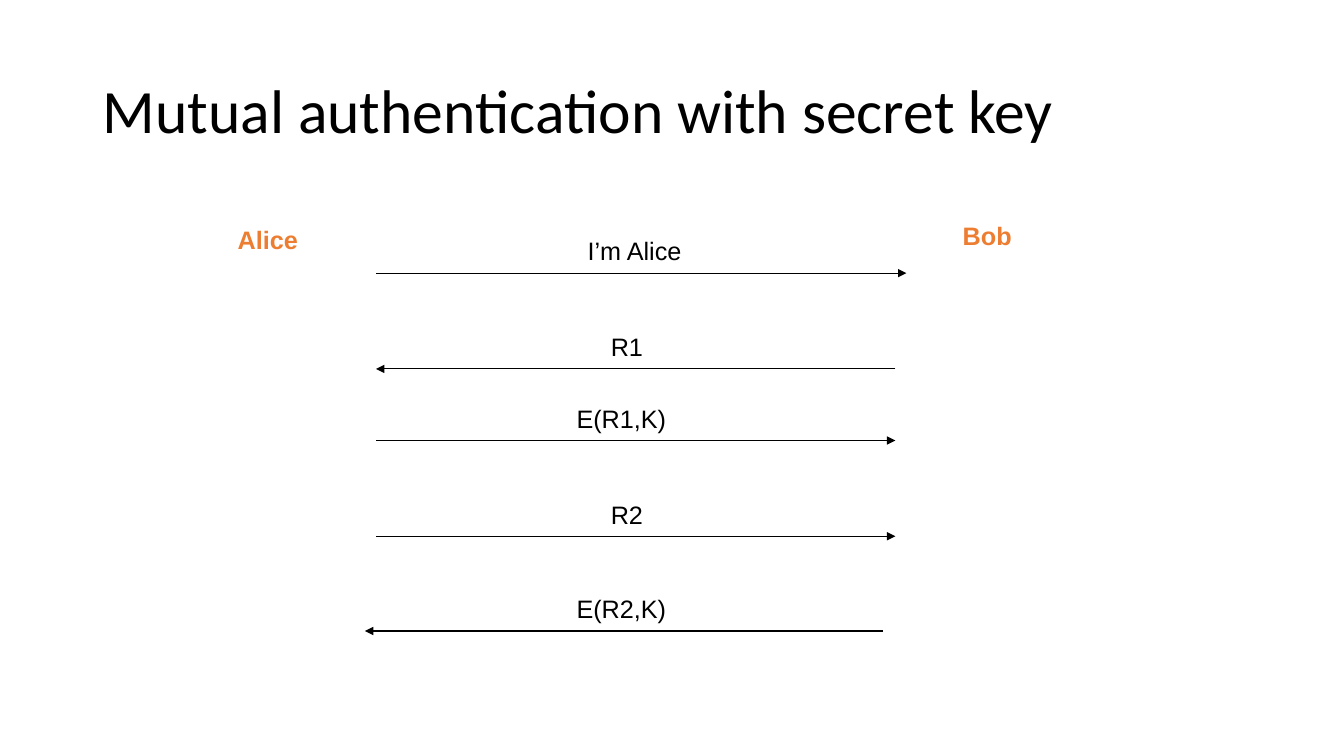
"""Build a slide showing mutual authentication with a secret key."""
from lxml.etree import SubElement
from pptx import Presentation
from pptx.dml.color import RGBColor
from pptx.enum.shapes import MSO_CONNECTOR
from pptx.enum.text import MSO_ANCHOR
from pptx.oxml.ns import qn
from pptx.util import Inches, Pt

BLACK = "000000"
ORANGE = "ED7D31"
LABEL_HEIGHT = 0.57
LABEL_RISE = 0.42

presentation = Presentation()
presentation.slide_width = Inches(13.33)
presentation.slide_height = Inches(7.5)
slide = presentation.slides.add_slide(presentation.slide_layouts[6])


def add_text(text, left, top, width, height, size=18, font="Arial", color=BLACK, bold=False):
    shape = slide.shapes.add_textbox(Inches(left), Inches(top), Inches(width), Inches(height))
    text_frame = shape.text_frame
    text_frame.word_wrap = True
    text_frame.text = text
    run_font = text_frame.paragraphs[0].runs[0].font
    run_font.size = Pt(size)
    run_font.name = font
    run_font.bold = bold
    run_font.color.rgb = RGBColor.from_string(color)
    return text_frame


def add_arrow(start, end, y):
    arrow = slide.shapes.add_connector(
        MSO_CONNECTOR.STRAIGHT, Inches(start), Inches(y), Inches(end), Inches(y))
    arrow.line.color.rgb = RGBColor.from_string(BLACK)
    arrow.line.width = Pt(0.75)
    SubElement(arrow.line._get_or_add_ln(), qn("a:tailEnd"), type="triangle")
    SubElement(arrow._element.spPr, qn("a:effectLst"))


title = add_text("Mutual authentication with secret key", 0.92, 0.4, 11.5, 1.45,
                 size=44, font="Calibri")
title.vertical_anchor = MSO_ANCHOR.MIDDLE
title.paragraphs[0].line_spacing = 0.9

for party, left, top, width in [("Alice", 2.26, 2.18, 1.07), ("Bob", 9.45, 2.14, 0.92)]:
    add_text(party, left, top, width, LABEL_HEIGHT, color=ORANGE, bold=True)

messages = [
    ("I’m Alice", 5.73, 1.54, 3.73, 8.99, 2.71),
    ("R1", 5.96, 0.7, 8.88, 3.73, 3.66),
    ("E(R1,K)", 5.62, 1.47, 3.73, 8.88, 4.37),
    ("R2", 5.96, 0.7, 3.73, 8.88, 5.32),
    ("E(R2,K)", 5.62, 1.47, 8.76, 3.62, 6.26),
]
for message, left, width, start, end, y in messages:
    add_arrow(start, end, y)
    add_text(message, left, y - LABEL_RISE, width, LABEL_HEIGHT)

presentation.save("out.pptx")
